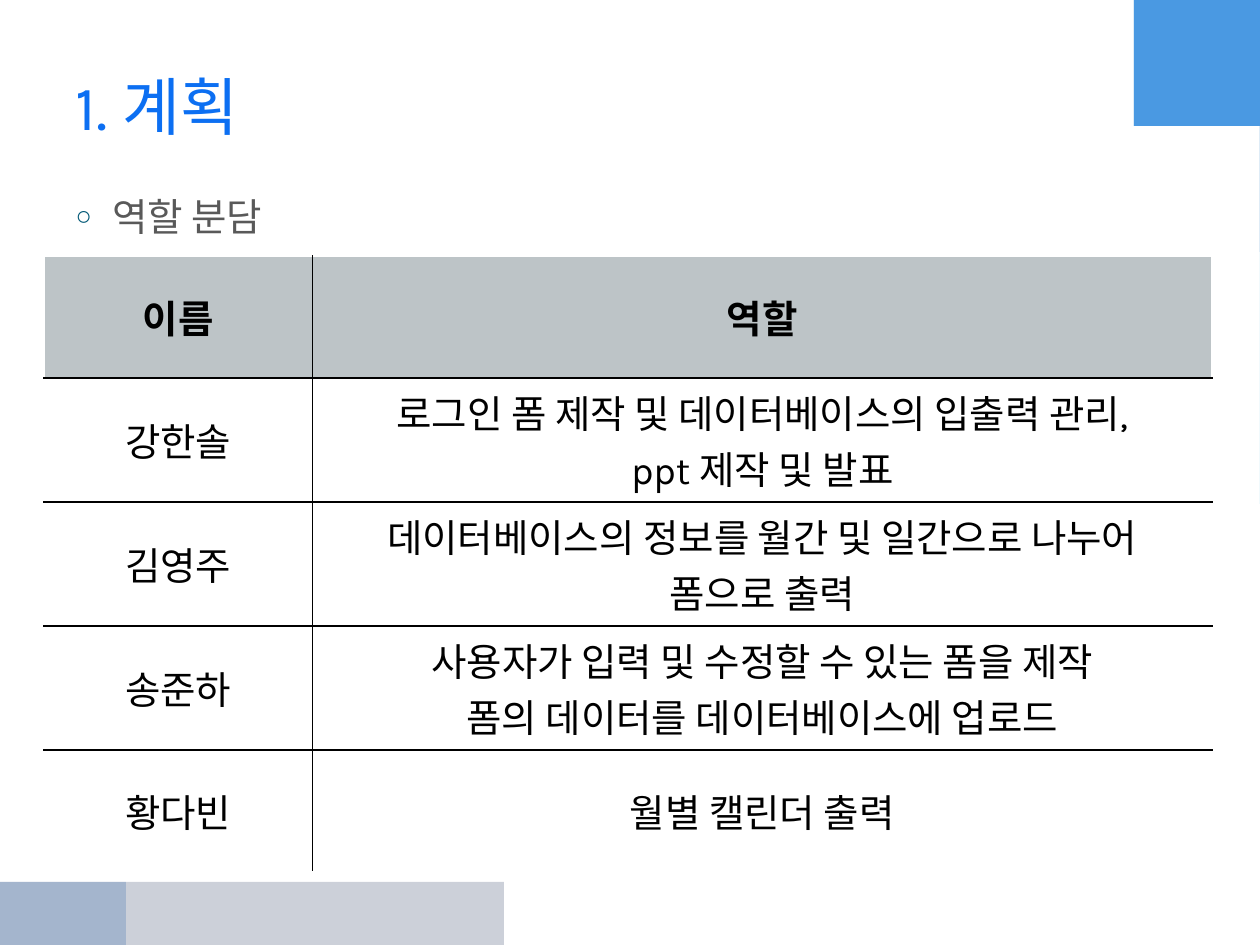
from lxml import etree
from pptx import Presentation
from pptx import util as u
from pptx.dml.color import RGBColor
from pptx.enum import text
from pptx.oxml import ns

BLACK = RGBColor(0x00, 0x00, 0x00)
GRAY = RGBColor(0x59, 0x59, 0x59)
SILVER = RGBColor(0xBD, 0xC4, 0xC7)
BLUE = RGBColor(0x0C, 0x6F, 0xF2)
SKY = RGBColor(0x24, 0x7F, 0xF4)
CYAN = RGBColor(0x00, 0xB1, 0xE9)
NAVY = RGBColor(0x02, 0x17, 0x41)
ROYAL = RGBColor(0x08, 0x4A, 0xA1)
TEAL = RGBColor(0x00, 0x58, 0x76)

WAVES = [
    ((8.92, 0), (10, 0), (10, 4.08), CYAN, 45),
    ((6.67, 0), (10, 0), (10, 2.15), NAVY, 20),
    ((6.67, 0), (10, 0), (10, 1.55), SKY, 49),
    ((3.75, 7.5), (0, 7.5), (0, 6.08), NAVY, 20),
    ((0, 4.58), (0, 7.5), (1.11, 7.5), ROYAL, 20),
]
ROWS = [
    ("이름", "역할"),
    ("강한솔", "로그인 폼 제작 및 데이터베이스의 입출력 관리,\nppt 제작 및 발표"),
    ("김영주", "데이터베이스의 정보를 월간 및 일간으로 나누어\n폼으로 출력"),
    ("송준하", "사용자가 입력 및 수정할 수 있는 폼을 제작\n폼의 데이터를 데이터베이스에 업로드"),
    ("황다빈", "월별 캘린더 출력"),
]


def node(root, tag, **attrs):
    item = etree.SubElement(root, ns.qn(tag))
    for key, value in attrs.items():
        item.set(key, str(value))
    return item


def write(frame, words, size=22, color=BLACK, bold=False,
          align=text.PP_ALIGN.LEFT, anchor=text.MSO_ANCHOR.MIDDLE, mark=None):
    frame.word_wrap = True
    frame.vertical_anchor = anchor
    for num, line in enumerate(words.split("\n")):
        para = frame.add_paragraph() if num else frame.paragraphs[0]
        para.alignment = align
        para.space_before = u.Pt(0)
        if mark:
            props = para._p.get_or_add_pPr()
            props.set("marL", str(u.Inches(0.29)))
            props.set("indent", str(-u.Inches(0.29)))
            node(node(props, "a:buClr"), "a:srgbClr", val=TEAL)
            node(props, "a:buSzPct", val=70000)
            node(props, "a:buChar", char=mark)
        run = para.add_run()
        run.text = line
        run.font.name = "Karla"
        run.font.size = u.Pt(size)
        run.font.bold = bold
        run.font.color.rgb = color


class Deck:
    def __init__(self):
        self.file = Presentation()
        self.file.slide_width = u.Inches(10)
        self.file.slide_height = u.Inches(7.5)
        self.slide = self.file.slides.add_slide(self.file.slide_layouts[1])

    def wave(self, start, turn, end, color, alpha, steps=48):
        def spot(t):
            a, b, c = 3 * t * (1 - t) ** 2, 3 * t * t * (1 - t), t ** 3
            along = 0.55 * a + 0.92 * b + c
            out = 0.08 * a + 0.45 * b + c
            return [s + along * (m - s) + out * (e - m)
                    for s, m, e in zip(start, turn, end)]

        form = self.slide.shapes.build_freeform(*start, scale=u.Inches(1))
        arc = [spot(n / steps) for n in range(steps, 0, -1)]
        form.add_line_segments([turn, end] + arc[1:], close=True)
        shape = form.convert_to_shape()
        shape.shadow.inherit = False
        shape.line.fill.background()
        shape.fill.solid()
        shape.fill.fore_color.rgb = color
        paint = shape._element.spPr.find(".//" + ns.qn("a:srgbClr"))
        node(paint, "a:alpha", val=alpha * 1000)

    def place(self, index, box, words, **style):
        shape = self.slide.placeholders[index]
        shape.left, shape.top, shape.width, shape.height = map(u.Inches, box)
        write(shape.text_frame, words, **style)
        self.slide.shapes._spTree.append(shape._element)

    def edge(self, cell, sides):
        props = cell._tc.get_or_add_tcPr()
        for side in sides:
            line = node(props, "a:ln" + side, w=u.Pt(1))
            node(node(line, "a:solidFill"), "a:srgbClr", val=BLACK)

    def table(self, box, widths, rows):
        grid = self.slide.shapes.add_table(
            len(rows), len(widths), *map(u.Inches, box)).table
        grid.horz_banding = False
        for col, width in zip(grid.columns, widths):
            col.width = u.Inches(width)
        for r, row in enumerate(rows):
            for c, words in enumerate(row):
                cell = grid.cell(r, c)
                write(cell.text_frame, words, bold=r == 0,
                      align=text.PP_ALIGN.CENTER)
                cell.vertical_anchor = text.MSO_ANCHOR.MIDDLE
                sides = ["L"] if c else ["R"]
                if r:
                    sides.append("T")
                if r < len(rows) - 1:
                    sides.append("B")
                self.edge(cell, sides)
                if r:
                    cell.fill.background()
                else:
                    cell.fill.solid()
                    cell.fill.fore_color.rgb = SILVER


def main():
    deck = Deck()
    for wave in WAVES:
        deck.wave(*wave)
    deck.place(0, (0.5, 0.33, 9, 1.01), "1. 계획", size=36, color=BLUE)
    deck.place(1, (0.5, 1.48, 9, 0.54), "역할 분담", color=GRAY,
               anchor=text.MSO_ANCHOR.TOP, mark="○")
    deck.table((0.35, 2.03, 9.27, 4.85), (2.13, 7.14), ROWS)
    deck.file.save("out.pptx")


if __name__ == "__main__":
    main()
